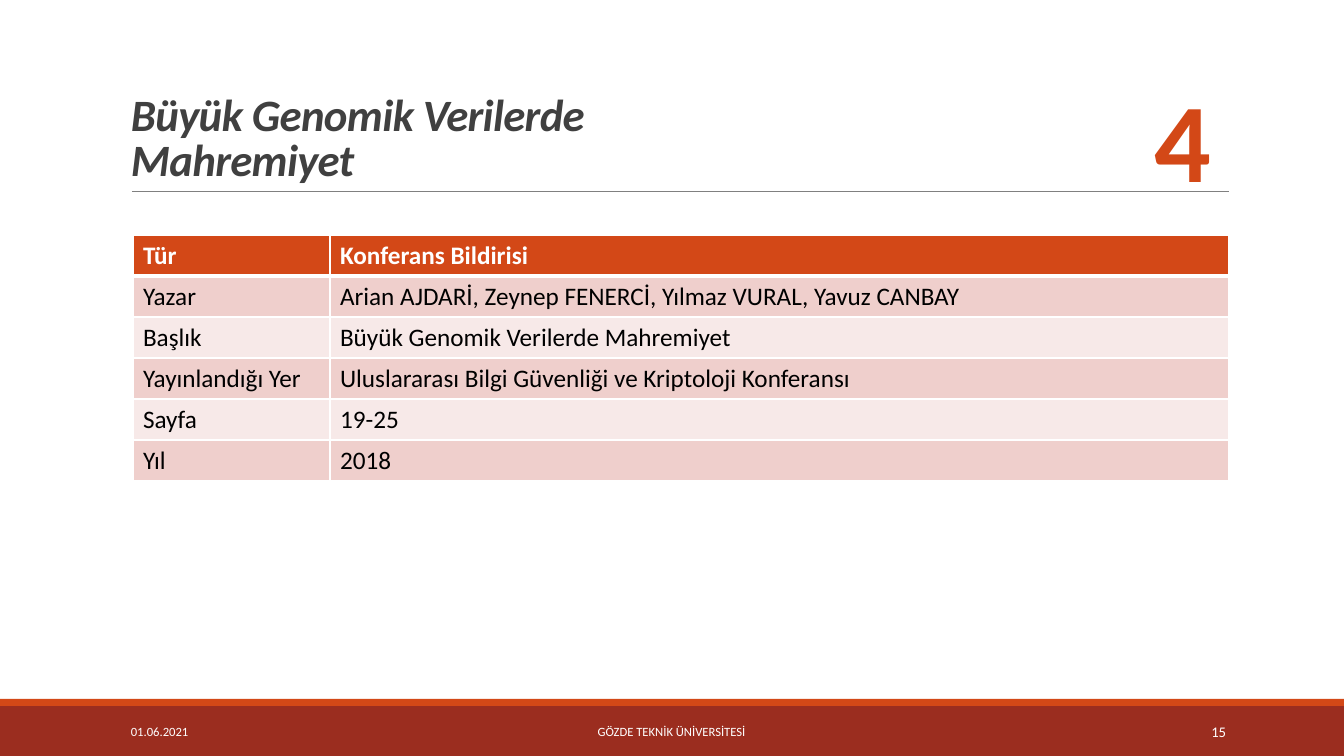
from lxml.etree import SubElement as Sub
from pptx import Presentation
from pptx.dml.color import RGBColor as RGB
from pptx.enum.shapes import MSO_CONNECTOR as Link, MSO_SHAPE as Shape
from pptx.enum.text import MSO_ANCHOR as Anchor, PP_ALIGN as Align
from pptx.oxml.ns import qn
from pptx.util import Pt

WIDE, HIGH = 1344, 756
WHITE, RUST, BRICK = "FFFFFF", "D34817", "9B2D1F"
BANDS = "EFCFCC", "F7E9E8"
ROWS = [
    ("Tür", "Konferans Bildirisi"),
    ("Yazar", "Arian AJDARİ, Zeynep FENERCİ, Yılmaz VURAL, Yavuz CANBAY"),
    ("Başlık", "Büyük Genomik Verilerde Mahremiyet"),
    ("Yayınlandığı Yer", "Uluslararası Bilgi Güvenliği ve Kriptoloji Konferansı"),
    ("Sayfa", "19-25"),
    ("Yıl", "2018"),
]


def px(*nums):
    """Turn picture pixels into EMU."""
    return [round(n * 12192000 / WIDE) for n in nums]


def paint(fmt, tone):
    """Give a fill one solid colour from a hex string."""
    fmt.solid()
    fmt.fore_color.rgb = RGB.from_string(tone)


def write(frame, text, size=18, tone="000000", bold=False, slant=False,
          align=Align.LEFT, space=None, track=None):
    """Put formatted text in a text frame."""
    para = frame.paragraphs[0]
    para.text = text
    para.alignment = align
    para.line_spacing = space
    for run in para.runs:
        font = run.font
        font.name, font.size = "Calibri", Pt(size)
        font.bold, font.italic = bold, slant
        paint(font.fill, tone)
        if track:
            run._r.get_or_add_rPr().set("spc", str(round(track * 100)))


def label(slide, box, text, anchor=Anchor.MIDDLE, wrap=True, **form):
    """Add a text box."""
    frame = slide.shapes.add_textbox(*px(*box)).text_frame
    frame.word_wrap = wrap
    frame.vertical_anchor = anchor
    write(frame, text, **form)


def bar(slide, box, tone):
    """Add a plain filled bar."""
    shape = slide.shapes.add_shape(Shape.RECTANGLE, *px(*box))
    shape.shadow.inherit = False
    shape.line.fill.background()
    paint(shape.fill, tone)


def edge(cell, base):
    """Draw white borders round a cell, with the given bottom width."""
    props = cell._tc.get_or_add_tcPr()
    for spot, side in enumerate("LRTB"):
        wide = Pt(base if side == "B" else 1)
        line = Sub(props, qn("a:ln" + side), w=str(wide))
        Sub(Sub(line, qn("a:solidFill")), qn("a:srgbClr"), val=WHITE)
        props.insert(spot, line)


def header(slide, box):
    """Place the title, the big number and the rule below them."""
    x, y, w, h = box
    label(slide, (x, y, w, h), "Büyük Genomik Verilerde\vMahremiyet",
          anchor=Anchor.BOTTOM, size=32, tone="404040", bold=True,
          slant=True, space=0.85, track=-0.5)
    rule = slide.shapes.add_connector(
        Link.STRAIGHT, *px(x + 11, y + h, x + w - 1, y + h))
    rule.line.width = Pt(0.5)
    paint(rule.line.fill, "808080")
    Sub(rule._element.spPr, qn("a:effectLst"))
    label(slide, (x + 1024, y + 35, 78, 146), "4", anchor=Anchor.TOP,
          wrap=False, size=80, tone=RUST, bold=True)


def facts(slide, box):
    """Place the table of publication details."""
    x, y, w, h = box
    table = slide.shapes.add_table(len(ROWS), 2, *px(x, y, w, h)).table
    first = 197
    for col, wide in zip(table.columns, px(first, w - first)):
        col.width = wide
    for r, row in enumerate(ROWS):
        head = r == 0
        for c, text in enumerate(row):
            cell = table.cell(r, c)
            write(cell.text_frame, text, bold=head,
                  tone=WHITE if head else "000000")
            paint(cell.fill, RUST if head else BANDS[(r - 1) % 2])
            edge(cell, 3 if head else 1)


def footer(slide, box):
    """Place the two bars with date, school and page number."""
    x, y, w, h = box
    strip = 7
    bar(slide, (x, y + strip, w, h - strip), BRICK)
    bar(slide, (x, y, w, strip), RUST)
    for left, wide, text, size, align in (
            (121, 272, "01.06.2021", 9, Align.LEFT),
            (406, 531, "GÖZDE TEKNİK ÜNİVERSİTESİ", 9, Align.CENTER),
            (1092, 144, "15", 10.5, Align.RIGHT)):
        label(slide, (x + left, y + 13, wide, 40), text,
              size=size, tone=WHITE, align=align)


def main():
    """Build and save the slide."""
    deck = Presentation()
    deck.slide_width, deck.slide_height = px(WIDE, HIGH)
    slide = deck.slides.add_slide(deck.slide_layouts[6])
    footer(slide, (0, 699, WIDE, 57))
    header(slide, (121, 31, 1109, 160))
    facts(slide, (133, 235, 1096, 246))
    deck.save("out.pptx")


main()
